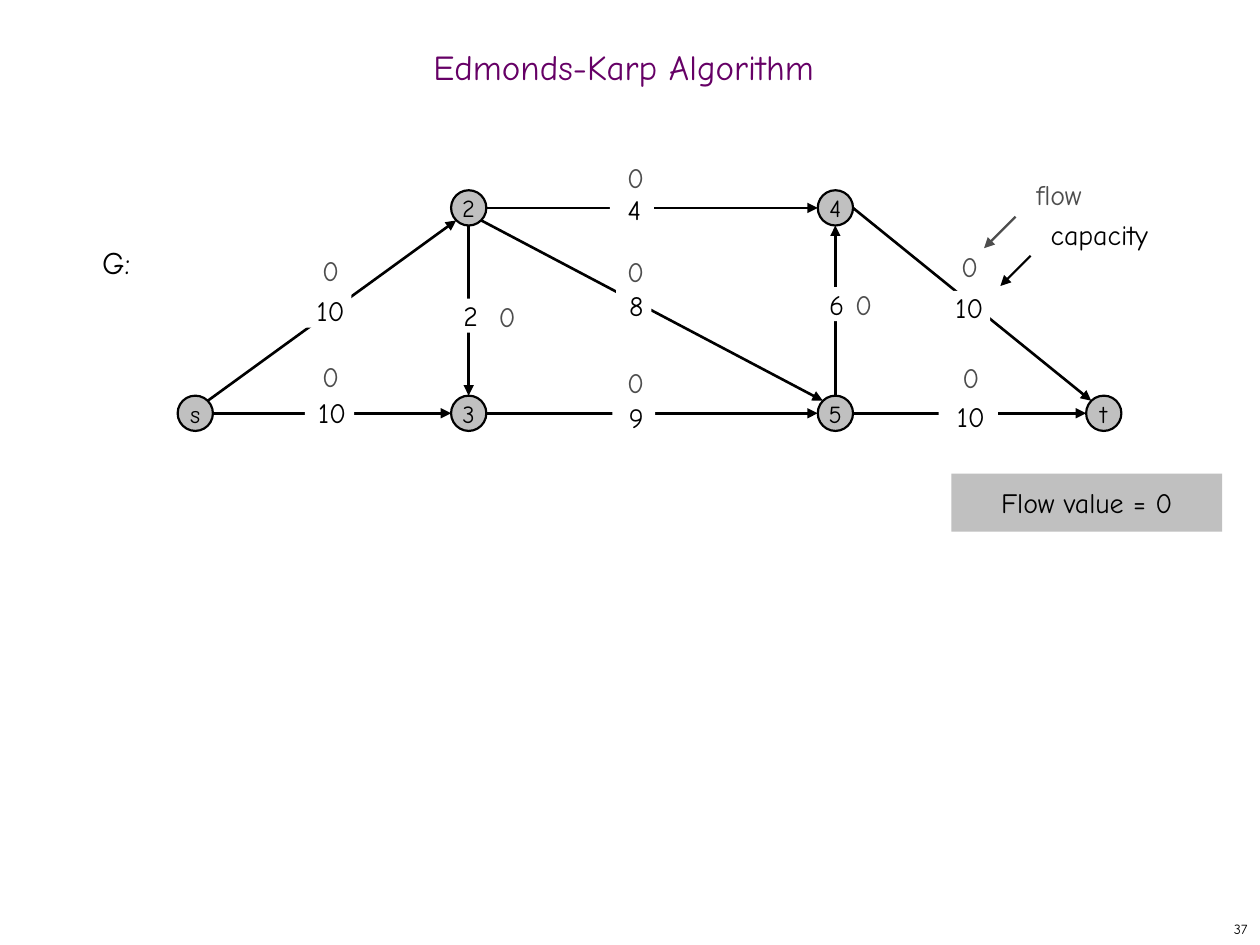
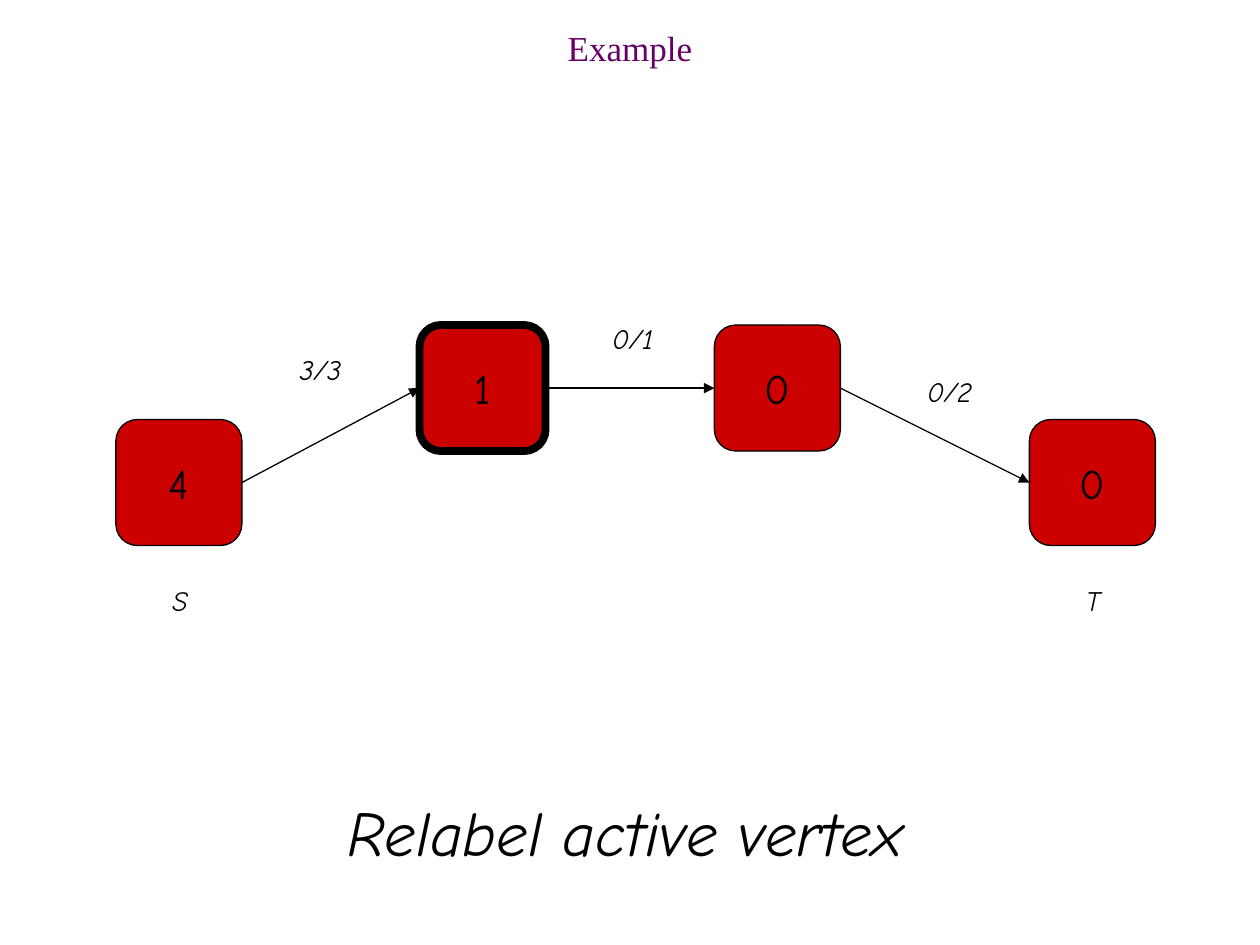
from lxml.etree import SubElement
from pptx import Presentation
from pptx.dml.color import RGBColor
from pptx.enum.shapes import MSO_CONNECTOR, MSO_SHAPE
from pptx.enum.text import MSO_ANCHOR, MSO_AUTO_SIZE, PP_ALIGN
from pptx.oxml.ns import qn
from pptx.util import Inches, Pt

COLORS = {
    "black": "000000",
    "white": "FFFFFF",
    "gray": "4D4D4D",
    "silver": "C0C0C0",
    "red": "CC0000",
    "purple": "660066",
}
HAND, SERIF = "Comic Neue", "Times New Roman"
LEFT, MID, RIGHT = PP_ALIGN.LEFT, PP_ALIGN.CENTER, PP_ALIGN.RIGHT
PAD = (0.1, 0.05, 0.1, 0.05)
TIGHT = (0, 0, 0, 0)
DIAG = 0.71
SIDES = {
    "n": (0, -1), "s": (0, 1), "e": (1, 0), "w": (-1, 0),
    "ne": (DIAG, -DIAG), "nw": (-DIAG, -DIAG),
    "se": (DIAG, DIAG), "sw": (-DIAG, DIAG),
}


def color(name):
    return RGBColor.from_string(COLORS[name])


def assign(target, values):
    for name, value in values.items():
        setattr(target, name, value)


class Deck:
    def __init__(self):
        self.show = Presentation()
        assign(self.show, {"slide_width": Inches(10), "slide_height": Inches(7.5)})
        self.slide = None

    def start(self, title, height, font=HAND, pad=PAD):
        """Add a slide with its title."""
        self.slide = self.show.slides.add_slide(self.show.slide_layouts[5])
        shape = self.slide.shapes.title
        box = (0, 0.17, 10, height)
        assign(shape, dict(zip(("left", "top", "width", "height"), map(Inches, box))))
        self.label(shape, title, size=20, ink="purple", font=font,
                   anchor=MSO_ANCHOR.MIDDLE, pad=pad)
        shape.text_frame.paragraphs[0].line_spacing = 0.7

    def label(self, shape, text, size=16, ink="black", font=HAND, align=MID,
              anchor=MSO_ANCHOR.TOP, pad=PAD, wrap=True, italic=False):
        """Put formatted text into a shape."""
        frame = shape.text_frame
        frame.text = text
        sides = ("margin_left", "margin_top", "margin_right", "margin_bottom")
        assign(frame, dict(zip(sides, map(Inches, pad))))
        assign(frame, {"word_wrap": wrap, "auto_size": MSO_AUTO_SIZE.NONE,
                       "vertical_anchor": anchor})
        para = frame.paragraphs[0]
        para.alignment = align
        assign(para.font, {"name": font, "size": Pt(size), "italic": italic})
        para.font.color.rgb = color(ink)

    def text(self, text, box, **style):
        shape = self.slide.shapes.add_textbox(*map(Inches, box))
        self.label(shape, text, **style)

    def block(self, kind, text, box, fill, line=0, **style):
        """Add a filled shape with text; a line of 0 means no outline."""
        shape = self.slide.shapes.add_shape(kind, *map(Inches, box))
        shape.shadow.inherit = False
        shape.fill.solid()
        shape.fill.fore_color.rgb = color(fill)
        if line:
            shape.line.color.rgb = color("black")
            shape.line.width = Pt(line)
        else:
            shape.line.fill.background()
        self.label(shape, text, **style)
        return shape

    def node(self, kind, text, center, radius, **style):
        x, y = center
        box = (x - radius, y - radius, 2 * radius, 2 * radius)
        return self.block(kind, text, box, anchor=MSO_ANCHOR.MIDDLE,
                          wrap=False, **style)

    def arrow(self, start, end, width, ink="black"):
        link = self.slide.shapes.add_connector(
            MSO_CONNECTOR.STRAIGHT, *map(Inches, (*start, *end)))
        link.line.color.rgb = color(ink)
        link.line.width = Pt(width)
        props = link._element.spPr
        SubElement(props.find(qn("a:ln")), qn("a:tailEnd"), type="triangle")
        SubElement(props, qn("a:effectLst"))

    def edge(self, tail, out, head, into, radius, width):
        """Draw an arrow from one side of a node to a side of another."""
        ends = [tuple(c + radius * d for c, d in zip(center, SIDES[side]))
                for center, side in ((tail, out), (head, into))]
        self.arrow(*ends, width)


def network(deck):
    """Flow network with zero flow on every edge."""
    deck.start("Edmonds-Karp Algorithm", 0.8, pad=(0.1, 0.05, 0.2, 0.05))
    deck.text("37", (7.92, 7.25, 2.08, 0.25), size=8, align=RIGHT,
              anchor=MSO_ANCHOR.MIDDLE)

    high, low, radius = 1.65, 3.28, 0.14
    nodes = {
        "s": (1.55, low), "2": (3.72, high), "3": (3.72, low),
        "4": (6.63, high), "5": (6.63, low), "t": (8.76, low),
    }
    edges = [
        ("s", "ne", "2", "sw"), ("s", "e", "3", "w"), ("3", "e", "5", "w"),
        ("2", "e", "4", "w"), ("2", "s", "3", "n"), ("5", "n", "4", "s"),
        ("2", "se", "5", "nw"), ("4", "e", "t", "nw"), ("5", "e", "t", "w"),
    ]
    for name, center in nodes.items():
        deck.node(MSO_SHAPE.OVAL, name, center, radius, fill="silver",
                  line=1.25, size=14)
    for tail, out, head, into in edges:
        deck.edge(nodes[tail], out, nodes[head], into, radius, 1.5)

    # Capacity, left, top, width, left inset
    caps = [
        ("10", 2.42, 3.14, 0.39, 0.04), ("10", 2.33, 2.33, 0.46, 0.13),
        ("9", 4.86, 3.18, 0.34, 0.04), ("8", 4.89, 2.29, 0.28, 0.04),
        ("4", 4.84, 1.53, 0.35, 0.04), ("10", 7.45, 3.17, 0.47, 0.04),
        ("10", 7.4, 2.31, 0.46, 0.13), ("6", 6.39, 2.28, 0.46, 0.04),
        ("2", 3.48, 2.37, 0.47, 0.04),
    ]
    for cap, x, y, width, inset in caps:
        deck.block(MSO_SHAPE.RECTANGLE, cap, (x, y, width, 0.27), "white",
                   pad=(inset, 0, 0, 0))
    flows = [
        (2.44, 2.01), (4.86, 1.27), (7.51, 1.98), (2.44, 2.85), (4.86, 2.9),
        (7.52, 2.86), (4.86, 2.02), (3.84, 2.38), (6.67, 2.28),
    ]
    for x, y in flows:
        deck.text("0", (x, y, 0.37, 0.19), ink="gray", pad=TIGHT)

    deck.block(MSO_SHAPE.RECTANGLE, "G:", (0.74, 1.93, 0.48, 0.3), "white",
               size=18, align=LEFT, pad=(0.07, 0, 0, 0))
    deck.block(MSO_SHAPE.RECTANGLE, "Flow value = 0", (7.55, 3.76, 2.15, 0.46),
               "silver", anchor=MSO_ANCHOR.MIDDLE, pad=(0.1, 0.15, 0.1, 0.15))
    deck.text("flow", (8.05, 1.36, 0.71, 0.37), ink="gray")
    deck.text("capacity", (8.11, 1.68, 1.23, 0.37))
    deck.arrow((8.06, 1.72), (7.81, 1.97), 1.25, "gray")
    deck.arrow((8.18, 2.03), (7.94, 2.27), 1.25)


def relabel(deck):
    """Chain of four vertices, the active one outlined."""
    deck.start("Example", 0.5, SERIF)
    high, low, radius = 3.08, 3.83, 0.5
    chain = [("4", 1.42, low, 0.75), ("1", 3.83, high, 4.5),
             ("0", 6.17, high, 0.75), ("0", 8.67, low, 0.75)]
    for label, x, y, line in chain:
        box = deck.node(MSO_SHAPE.ROUNDED_RECTANGLE, label, (x, y), radius,
                        fill="red", line=line, size=24)
        box.adjustments[0] = 0.17
    for tail, head in zip(chain, chain[1:]):
        deck.edge(tail[1:3], "e", head[1:3], "w", radius, 0.75)

    labels = [("3/3", 2.28, 2.75, 0.53), ("0/1", 4.76, 2.5, 0.53),
              ("0/2", 7.26, 2.92, 0.56), ("S", 1.27, 4.58, 0.32),
              ("T", 8.52, 4.58, 0.31)]
    for label, x, y, width in labels:
        deck.text(label, (x, y, width, 0.37), align=LEFT, wrap=False, italic=True)
    deck.text("Relabel active vertex", (1, 6.25, 7.92, 0.7), size=36, italic=True)


def main():
    deck = Deck()
    network(deck)
    relabel(deck)
    deck.show.save("out.pptx")


if __name__ == "__main__":
    main()
